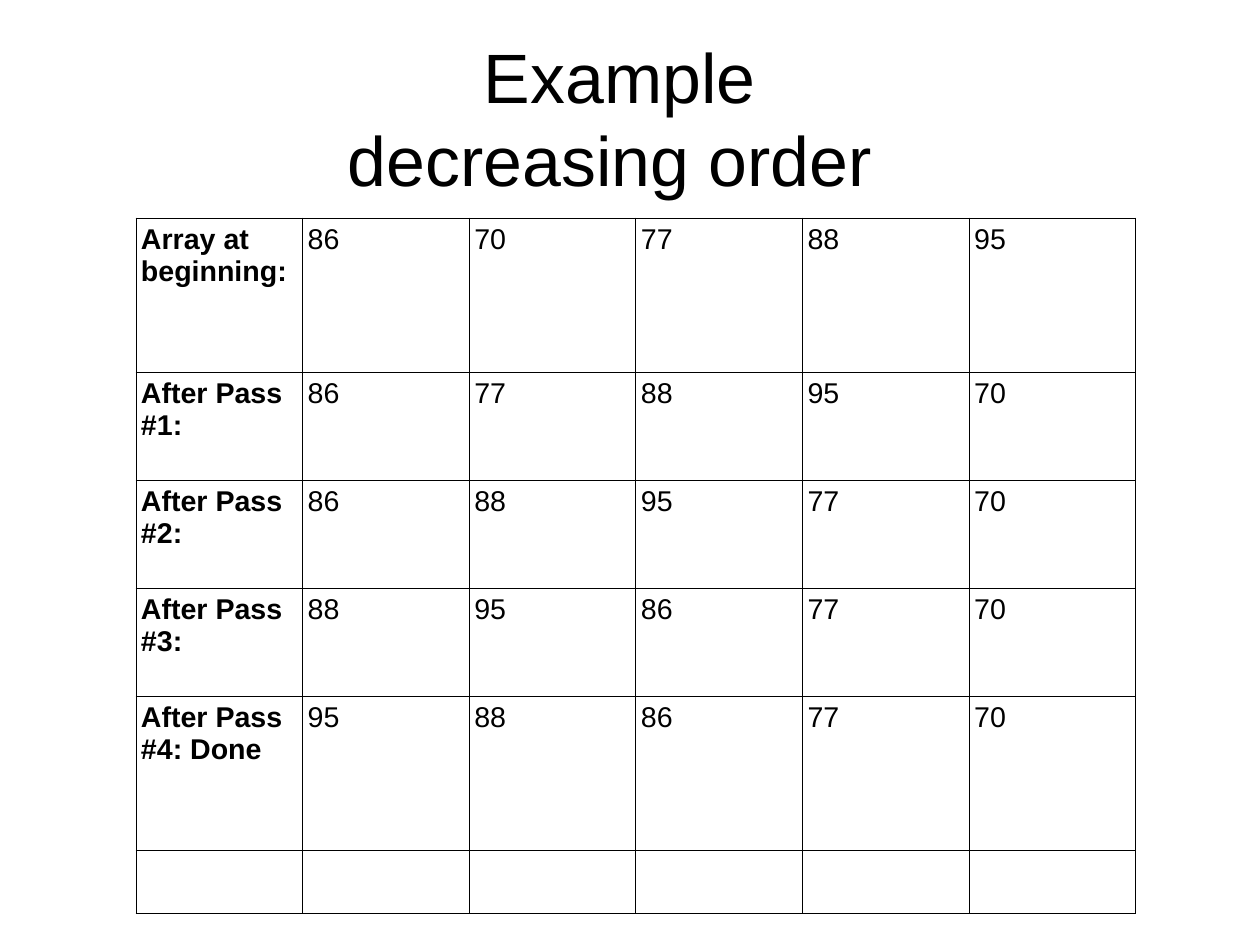
from dataclasses import dataclass

from lxml import etree
from pptx import Presentation
from pptx import util as u
from pptx.dml.color import RGBColor
from pptx.enum import text
from pptx.oxml.ns import qn

PX = 8000  # EMU per px


@dataclass(frozen=True)
class Theme:
    font: str = "Arial"
    ink: str = "000000"
    title_size: int = 44
    cell_size: int = 18
    border: float = 0.57


class Deck:
    def __init__(self, theme, width, height):
        self.theme = theme
        self.prs = Presentation()
        self.prs.slide_width, self.prs.slide_height = width * PX, height * PX
        self.s = self.prs.slides.add_slide(self.prs.slide_layouts[6])

    def run(self, p, words, size, bold=False):
        r = p.add_run()
        r.text = words
        r.font.name, r.font.size, r.font.bold = self.theme.font, u.Pt(size), bold
        r.font.color.rgb = RGBColor.from_string(self.theme.ink)

    def title(self, lines, x, y, w, h, right_inset):
        tf = self.s.shapes.add_textbox(x * PX, y * PX, w * PX, h * PX).text_frame
        tf.word_wrap = True
        tf.vertical_anchor = text.MSO_ANCHOR.MIDDLE
        tf.margin_left = tf.margin_top = tf.margin_bottom = 0
        tf.margin_right = right_inset * PX
        p = tf.paragraphs[0]
        p.alignment = text.PP_ALIGN.CENTER
        for i, line in enumerate(lines):
            if i:
                p.add_line_break()
            self.run(p, line, self.theme.title_size)

    def cell_borders(self, cell):
        tc_pr = cell._tc.get_or_add_tcPr()
        for i, side in enumerate(("lnL", "lnR", "lnT", "lnB")):
            ln = etree.Element(qn(f"a:{side}"), w=str(u.Pt(self.theme.border)))
            fill = etree.SubElement(ln, qn("a:solidFill"))
            etree.SubElement(fill, qn("a:srgbClr"), val=self.theme.ink)
            tc_pr.insert(i, ln)

    def table(self, rows, heights, x, y, w, inset_x, inset_y):
        cols = len(rows[0])
        tbl = self.s.shapes.add_table(len(rows), cols, x * PX, y * PX,
                                      w * PX, sum(heights) * PX).table
        tbl.first_row = tbl.horz_banding = False
        for col in tbl.columns:
            col.width = w * PX // cols
        for i, (values, height) in enumerate(zip(rows, heights)):
            tbl.rows[i].height = height * PX
            for j, value in enumerate(values):
                cell = tbl.cell(i, j)
                cell.fill.background()
                cell.margin_left = cell.margin_right = inset_x * PX
                cell.margin_top = cell.margin_bottom = inset_y * PX
                self.cell_borders(cell)
                if value:
                    self.run(cell.text_frame.paragraphs[0], value,
                             self.theme.cell_size, bold=j == 0)


def main():
    deck = Deck(Theme(), 1260, 945)

    # Title
    deck.title(["Example", "decreasing order "], 63, 38, 1134, 158, right_inset=20)

    # Array after each bubble sort pass
    passes = [
        ("Array at beginning:", "86 70 77 88 95"),
        ("After Pass #1:", "86 77 88 95 70"),
        ("After Pass #2:", "86 88 95 77 70"),
        ("After Pass #3:", "88 95 86 77 70"),
        ("After Pass #4: Done", "95 88 86 77 70"),
    ]
    rows = [[label, *values.split()] for label, values in passes]
    rows.append([""] * len(rows[0]))
    deck.table(rows, [154, 108, 108, 108, 154, 63], 136, 218, 1000,
               inset_x=5, inset_y=6)

    deck.prs.save("out.pptx")


if __name__ == "__main__":
    main()
